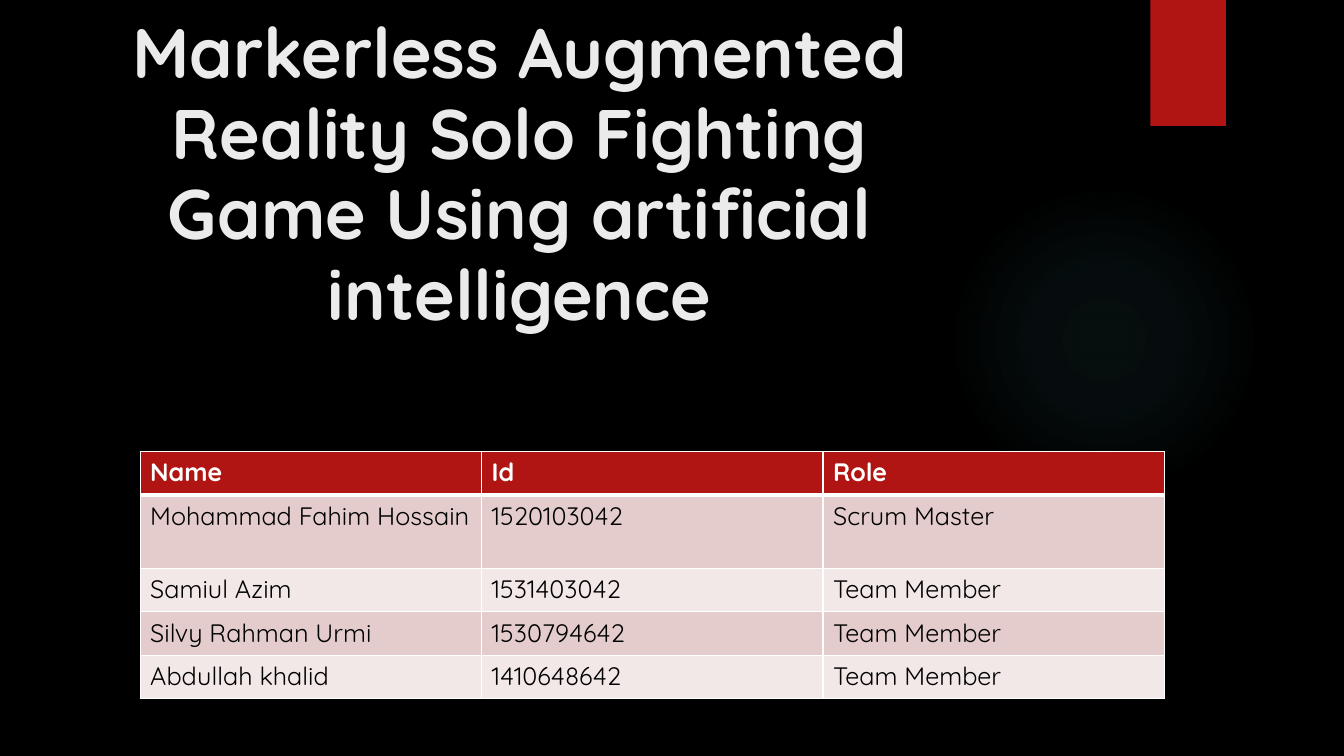
import dataclasses
import lxml.etree
import pptx
import pptx.dml.color
import pptx.enum.shapes
import pptx.enum.text
import pptx.oxml
import pptx.oxml.ns
import pptx.util

Inches = pptx.util.Inches
ALIGN = pptx.enum.text.PP_ALIGN
SHAPE = pptx.enum.shapes.MSO_SHAPE


@dataclasses.dataclass(frozen=True)
class Theme:
    """Colours, font and type sizes of the deck."""
    font: str = "Quicksand"
    background: str = "000000"
    accent: str = "B01513"
    glow: str = "50B9C1"
    title: str = "EBEBEB"
    light: str = "FFFFFF"
    dark: str = "000000"
    bands: tuple = ("E4CCCC", "F2E8E7")
    title_size: int = 50
    table_size: int = 18


THEME = Theme()
TITLE = "Markerless Augmented Reality Solo Fighting Game Using artificial intelligence"
TEAM = [
    ("Name", "Id", "Role"),
    ("Mohammad Fahim Hossain", "1520103042", "Scrum Master"),
    ("Samiul Azim", "1531403042", "Team Member"),
    ("Silvy Rahman Urmi", "1530794642", "Team Member"),
    ("Abdullah khalid", "1410648642", "Team Member"),
]
ROW_HEIGHTS = [0.43, 0.73, 0.43, 0.43, 0.43]
GLOW_STOPS = [(0, 7), (36, 6), (69, 0)]


def rgb(code):
    """Turn a hex code into a colour."""
    return pptx.dml.color.RGBColor.from_string(code)


def paint(fill, code):
    """Give a fill one solid colour."""
    fill.solid()
    fill.fore_color.rgb = rgb(code)


def write(frame, text, color, formats, align=ALIGN.LEFT):
    """Write one formatted paragraph in a text frame and return it."""
    para = frame.paragraphs[0]
    para.alignment = align
    span = para.add_run()
    span.text = text
    for name, value in {"name": THEME.font, **formats}.items():
        setattr(span.font, name, value)
    span.font.color.rgb = rgb(color)
    return para


def add_plain_shape(page, kind, box):
    """Add a preset shape without line or shadow."""
    shape = page.shapes.add_shape(kind, *map(Inches, box))
    shape.shadow.inherit = False
    shape.line.fill.background()
    return shape


def add_glow(page, box):
    """Add a faint round glow that fades outwards."""
    glow = add_plain_shape(page, SHAPE.OVAL, box)
    paint(glow.fill, THEME.glow)
    stops = "".join(
        f'<a:gs pos="{place * 1000}"><a:srgbClr val="{THEME.glow}">'
        f'<a:alpha val="{alpha * 1000}"/></a:srgbClr></a:gs>'
        for place, alpha in GLOW_STOPS)
    gradient = pptx.oxml.parse_xml(
        f'<a:gradFill {pptx.oxml.ns.nsdecls("a")} rotWithShape="1"><a:gsLst>{stops}</a:gsLst>'
        '<a:path path="circle"><a:fillToRect l="50000" t="50000" r="50000" b="50000"/>'
        '</a:path></a:gradFill>')
    properties = glow.element.spPr
    properties.replace(properties.find(pptx.oxml.ns.qn("a:solidFill")), gradient)


def add_ribbon(page, box):
    """Add the ribbon that hangs from the top edge."""
    paint(add_plain_shape(page, SHAPE.RECTANGLE, box).fill, THEME.accent)


def add_title(page, box):
    """Add the title, resting above the foot of its box."""
    frame = page.shapes.add_textbox(*map(Inches, box)).text_frame
    settings = {"word_wrap": True, "margin_bottom": Inches(0.86),
                "vertical_anchor": pptx.enum.text.MSO_ANCHOR.BOTTOM}
    for name, value in settings.items():
        setattr(frame, name, value)
    formats = {"size": pptx.util.Pt(THEME.title_size), "bold": True}
    para = write(frame, TITLE, THEME.title, formats, ALIGN.CENTER)
    para.line_spacing = 0.96


def add_borders(cell, widths):
    """Draw the borders of a cell from widths in points by side."""
    properties = cell._tc.get_or_add_tcPr()
    for index, (side, width) in enumerate(widths.items()):
        border = pptx.oxml.parse_xml(
            f'<a:ln{side} {pptx.oxml.ns.nsdecls("a")} w="{pptx.util.Pt(width)}">'
            f'<a:solidFill><a:srgbClr val="{THEME.light}"/></a:solidFill></a:ln{side}>')
        properties.insert(index, border)


def add_team_table(page, box):
    """Add the team table with a header and banded rows."""
    columns = len(TEAM[0])
    table = page.shapes.add_table(len(TEAM), columns, *map(Inches, box)).table
    for column in table.columns:
        column.width = Inches(box[2] / columns)
    for index, (entries, height) in enumerate(zip(TEAM, ROW_HEIGHTS)):
        table.rows[index].height = Inches(height)
        header = index == 0
        fill = THEME.accent if header else THEME.bands[(index - 1) % 2]
        color = THEME.light if header else THEME.dark
        formats = {"size": pptx.util.Pt(THEME.table_size), "bold": header}
        widths = {"L": 1, "R": 1, "T": 3 if index == 1 else 1, "B": 3 if header else 1}
        for cell, entry in zip(table.rows[index].cells, entries):
            paint(cell.fill, fill)
            write(cell.text_frame, entry, color, formats)
            add_borders(cell, widths)


def build_title_slide(deck):
    """Build the title slide with the team table."""
    page = deck.slides.add_slide(deck.slide_layouts[6])
    paint(page.background.fill, THEME.background)
    add_glow(page, (9.41, 1.83, 3.08, 3.08))
    add_ribbon(page, (11.41, 0, 0.75, 1.25))
    add_title(page, (0.91, 2.4, 8.49, 1.8))
    add_team_table(page, (1.39, 4.48, 10.16, sum(ROW_HEIGHTS)))


def main():
    """Create and save the deck."""
    deck = pptx.Presentation()
    deck.slide_width, deck.slide_height = Inches(13.33), Inches(7.5)
    build_title_slide(deck)
    deck.save("out.pptx")


if __name__ == "__main__":
    main()
